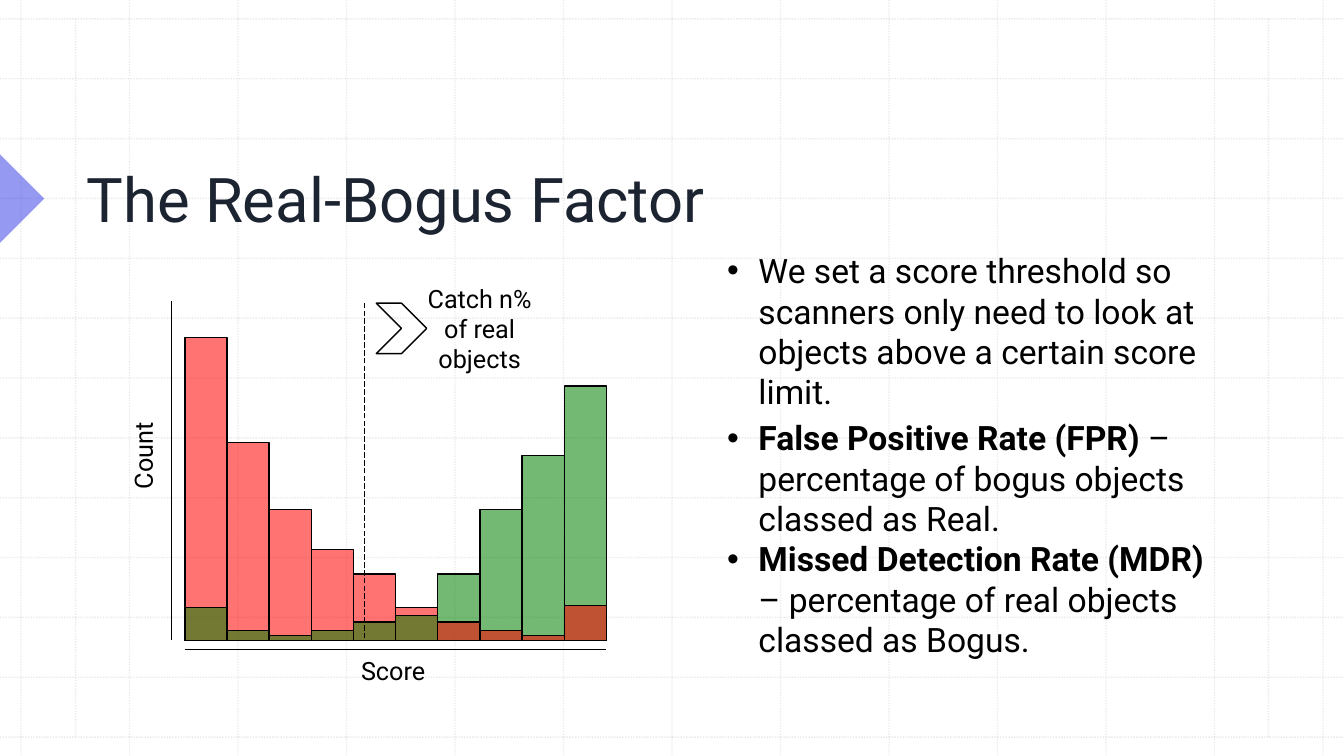
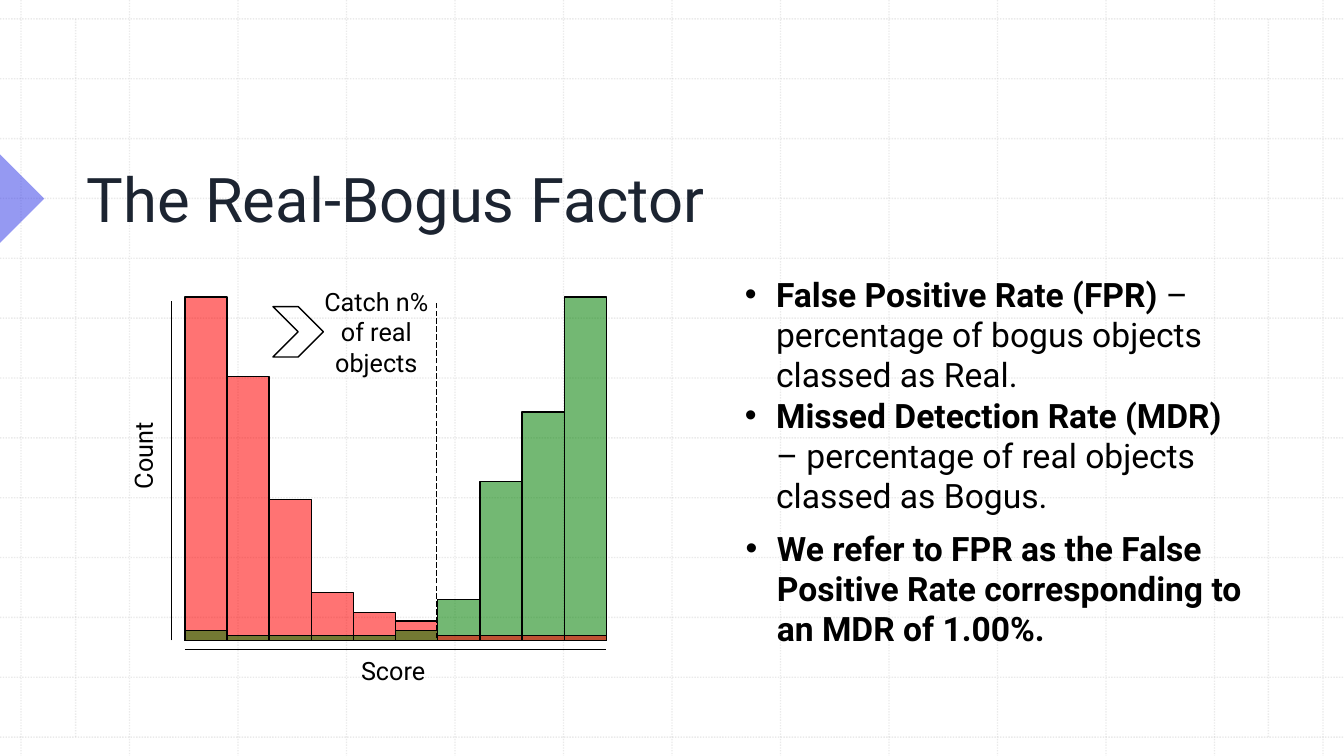
from pptx import Presentation
from pptx import util as u
from pptx.dml.color import RGBColor
from pptx.enum import dml, shapes, text
from pptx.oxml import ns
from lxml import etree

COLUMNS, ROWS = 160, 90
UNIT = u.Pt(6)

BLACK = RGBColor(0, 0, 0)
INK = RGBColor(0x1C, 0x24, 0x31)
GRID_GRAY = RGBColor(0xBC, 0xBC, 0xBC)
ACCENT = RGBColor(0x2D, 0x34, 0xE7)
BOGUS_RED = RGBColor(0xFF, 0, 0)
REAL_GREEN = RGBColor(0, 0x7F, 0)

TITLE_FONT = {"name": "Roboto", "size": u.Pt(44)}
BODY_FONT = {"name": "Roboto", "size": u.Pt(24)}
LABEL_FONT = {"name": "Roboto", "size": u.Pt(18)}

PLOT_LEFT, PLOT_RIGHT, PLOT_BASE = 22, 72.2, 76.25
AXIS_TOP = 35.8

RATES = [
    [("False Positive Rate (FPR) ", True),
     ("– percentage of bogus objects classed as Real.", False)],
    [("Missed Detection Rate (MDR) ", True),
     ("– percentage of real objects classed as Bogus.", False)],
]
THRESHOLD = [[("We set a score threshold so scanners only need to look at "
               "objects above a certain score limit.", False)]]
DEFINITION = [[("We refer to FPR as the False Positive Rate corresponding to "
                "an MDR of 1.00%.", True)]]

SLIDES = [
    {"bogus": [36.1, 23.6, 15.6, 10.8, 7.9, 3.9, 2.2, 1.2, 0.6, 4.2],
     "real": [3.9, 1.2, 0.6, 1.2, 2.2, 3, 7.9, 15.6, 22, 30.3],
     "threshold": 43.4,
     "chevron": (44.8, 36.1),
     "bullets": [(85.4, 29.2, 20.6, THRESHOLD), (85.4, 49.1, 30.2, RATES)]},
    {"bogus": [40.9, 31.4, 16.8, 5.7, 3.3, 2.3, 0.6, 0.6, 0.6, 0.6],
     "real": [1.2, 0.6, 0.6, 0.6, 0.6, 1.2, 4.9, 18.9, 27.2, 40.9],
     "threshold": 52,
     "chevron": (32.5, 36.5),
     "bullets": [(87.5, 32, 30.2, RATES), (87.6, 62.2, 15.7, DEFINITION)]},
]


def units(*counts):
    return [u.Emu(round(count * UNIT)) for count in counts]


def set_format(target, values):
    for name, value in values.items():
        setattr(target, name, value)


def fade(shape, percent):
    color = next(shape.element.iter(ns.qn("a:srgbClr")))
    etree.SubElement(color, ns.qn("a:alpha"), val=str(percent * 1000))


def add_line(container, start, end, color=BLACK, width=0.5, dash=None):
    line = container.add_connector(
        shapes.MSO_CONNECTOR.STRAIGHT, *units(*start, *end))
    etree.SubElement(line.element.spPr, ns.qn("a:effectLst"))
    line.line.color.rgb = color
    set_format(line.line, {"width": u.Pt(width), "dash_style": dash})
    return line


def add_shape(slide, kind, box, fill=None, alpha=100, outline=BLACK):
    shape = slide.shapes.add_shape(kind, *units(*box))
    shape.shadow.inherit = False
    if fill is None:
        shape.fill.background()
    else:
        shape.fill.solid()
        shape.fill.fore_color.rgb = fill
        fade(shape, alpha)
    if outline is None:
        shape.line.fill.background()
    else:
        shape.line.color.rgb = outline
        shape.line.width = u.Pt(1)
    return shape


def add_run(paragraph, content, font, color=BLACK, bold=False):
    run = paragraph.add_run()
    run.text = content
    set_format(run.font, {**font, "bold": bold})
    run.font.color.rgb = color


def add_text_box(slide, box, wrap=True):
    text_box = slide.shapes.add_textbox(*units(*box))
    set_format(text_box.text_frame, {
        "word_wrap": wrap,
        "auto_size": text.MSO_AUTO_SIZE.SHAPE_TO_FIT_TEXT})
    return text_box


def add_label(slide, box, content, rotation=0, wrap=False, alignment=None):
    label = add_text_box(slide, box, wrap)
    label.rotation = rotation
    paragraph = label.text_frame.paragraphs[0]
    paragraph.alignment = alignment
    add_run(paragraph, content, LABEL_FONT)


def add_bullets(slide, left, top, height, items):
    frame = add_text_box(slide, (left, top, 62.2, height)).text_frame
    for index, item in enumerate(items):
        paragraph = frame.add_paragraph() if index else frame.paragraphs[0]
        properties = paragraph._p.get_or_add_pPr()
        indent = u.Inches(0.31)
        properties.set("marL", str(indent))
        properties.set("indent", str(-indent))
        etree.SubElement(properties, ns.qn("a:buFont"), typeface="Arial")
        etree.SubElement(properties, ns.qn("a:buChar"), char="•")
        for content, bold in item:
            add_run(paragraph, content, BODY_FONT, bold=bold)


def add_title(slide, content):
    title = slide.shapes.title
    left, top, width, height = units(9.1, 9.5, 135.5, 19)
    set_format(title, {
        "left": left, "top": top, "width": width, "height": height})
    set_format(title.text_frame, {
        "vertical_anchor": text.MSO_ANCHOR.BOTTOM,
        "word_wrap": True,
        "auto_size": text.MSO_AUTO_SIZE.NONE})
    paragraph = title.text_frame.paragraphs[0]
    paragraph.alignment = text.PP_ALIGN.LEFT
    add_run(paragraph, content, TITLE_FONT, INK)


def build_backdrop(slide, layout):
    side, edge, inset, cells = 2.5, 2.25, 9, 12
    column = (COLUMNS - 2 * side) / cells
    row = (ROWS - 2 * edge) / cells
    lines = []
    for index in range(cells + 1):
        x, y = side + index * column, edge + index * row
        lines += [((x, 0), (x, ROWS)), ((0, y), (COLUMNS, y))]
    for x in (inset, COLUMNS - inset):
        lines.append(((x, edge), (x, ROWS - edge)))

    grid = slide.shapes.add_group_shape()
    for start, end in lines:
        line = add_line(grid.shapes, start, end, GRID_GRAY, 1,
                        dml.MSO_LINE.ROUND_DOT)
        fade(line, 30)
    marker = add_shape(slide, shapes.MSO_SHAPE.RIGHT_TRIANGLE,
                       (-3.72, 19.92, 7.44, 7.44), ACCENT, 50, None)
    marker.rotation = 225
    for shape in (grid, marker):
        layout.shapes.element.append(shape.element)


def add_histogram(slide, bogus, real):
    bin_width = (PLOT_RIGHT - PLOT_LEFT) / len(bogus)
    for index, heights in enumerate(zip(bogus, real)):
        bars = sorted(zip(heights, (BOGUS_RED, REAL_GREEN)),
                      key=lambda bar: bar[0], reverse=True)
        for height, color in bars:
            box = (PLOT_LEFT + index * bin_width, PLOT_BASE - height,
                   bin_width, height)
            add_shape(slide, shapes.MSO_SHAPE.RECTANGLE, box, color, 55)
    add_line(slide.shapes, (PLOT_LEFT, 77.3), (PLOT_RIGHT, 77.3))
    add_line(slide.shapes, (20.4, PLOT_BASE), (20.4, AXIS_TOP))
    add_label(slide, (41.8, 77.4, 10.4, 4.8), "Score")
    add_label(slide, (11.8, 51.8, 10.4, 4.8), "Count", rotation=270)


def add_threshold(slide, x, chevron):
    left, top = chevron
    add_line(slide.shapes, (x, 76), (x, 36.1), dash=dml.MSO_LINE.LONG_DASH)
    add_label(slide, (left + 4.7, top - 3, 15.2, 12.1),
              "Catch n% of real objects", wrap=True,
              alignment=text.PP_ALIGN.CENTER)
    add_shape(slide, shapes.MSO_SHAPE.CHEVRON, (left, top, 6, 6))


def main():
    presentation = Presentation()
    width, height = units(COLUMNS, ROWS)
    set_format(presentation, {"slide_width": width, "slide_height": height})
    layout = presentation.slide_layouts.get_by_name("Title Only")
    for index, content in enumerate(SLIDES):
        slide = presentation.slides.add_slide(layout)
        if index == 0:
            build_backdrop(slide, layout)
        add_title(slide, "The Real-Bogus Factor")
        add_histogram(slide, content["bogus"], content["real"])
        add_threshold(slide, content["threshold"], content["chevron"])
        for left, top, box_height, items in content["bullets"]:
            add_bullets(slide, left, top, box_height, items)
    presentation.save("out.pptx")


if __name__ == "__main__":
    main()
